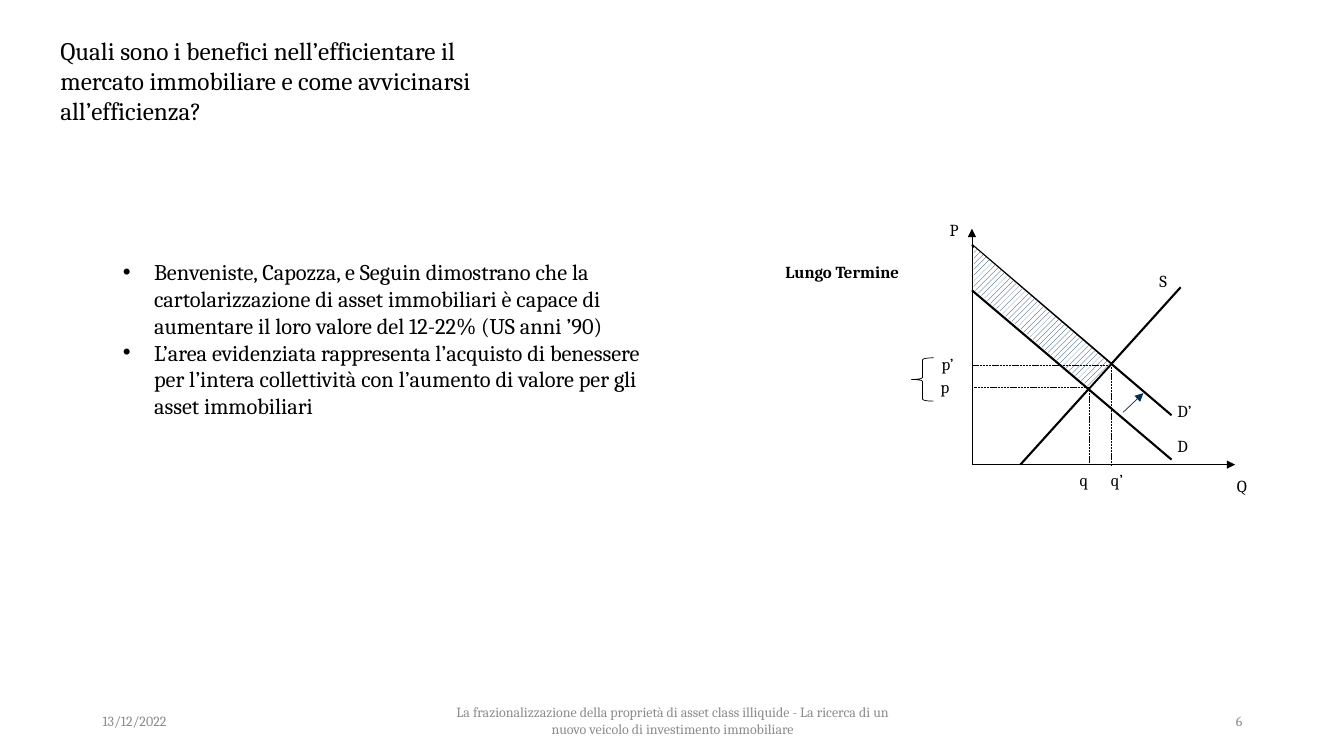
from pptx import Presentation
from pptx.dml.color import RGBColor
from pptx.enum.dml import MSO_LINE as Dash, MSO_PATTERN as Pat
from pptx.enum.shapes import MSO_CONNECTOR as Conn, MSO_SHAPE as Shape
from pptx.enum.text import MSO_ANCHOR as Anchor, PP_ALIGN as Align
from pptx.oxml.ns import qn
from pptx.util import Pt
from lxml.etree import SubElement as Sub

PX = 9144  # 100 px to the inch
FONT = "Cambria"
BLACK, GREY, NAVY, WHITE = "000000", "8C8C8C", "002F56", "FFFFFF"

# Content: boxes are left, top, width, height
TITLE = ("Quali sono i benefici nell’efficientare il mercato immobiliare "
         "e come avvicinarsi all’efficienza?")
POINTS = [
    "Benveniste, Capozza, e Seguin dimostrano che la cartolarizzazione di asset "
    "immobiliari è capace di aumentare il loro valore del 12-22% (US anni ’90)",
    "L’area evidenziata rappresenta l’acquisto di benessere per l’intera "
    "collettività con l’aumento di valore per gli asset immobiliari",
]
FOOTER = [
    ("13/12/2022", 92, 300, Align.LEFT),
    ("La frazionalizzazione della proprietà di asset class illiquide - "
     "La ricerca di un nuovo veicolo di investimento immobiliare",
     442, 450, Align.CENTER),
    ("6", 942, 300, Align.RIGHT),
]
LABELS = [  # text, left, top, width, bold
    ("P", 932, 212, 23, False),
    ("Q", 1217, 466, 25, False),
    ("S", 1140, 262, 23, False),
    ("D", 1158, 426, 23, False),
    ("D’", 1158, 391, 45, False),
    ("q’", 1092, 460, 41, False),
    ("q", 1061, 460, 41, False),
    ("p’", 924, 345, 41, False),
    ("p", 923, 367, 41, False),
    ("Lungo Termine", 769, 253, 330, True),
]
AXES = [(964, 461, 964, 227), (964, 461, 1225, 461)]
CURVES = [(1012, 461, 1171, 285), (1162, 412, 964, 243), (1162, 456, 964, 288)]
GUIDES = [(1080, 384, 1080, 461), (1102, 364, 1102, 462),
          (1080, 384, 966, 384), (1099, 362, 965, 362)]
SHIFT = (1114, 409, 1134, 390)
GAIN = [(966, 245), (966, 287), (1080, 384), (1101, 361)]
BRACE = (904, 355, 22, 43)

prs = Presentation()
prs.slide_width, prs.slide_height = 1333 * PX, 750 * PX
slide = prs.slides.add_slide(prs.slide_layouts[6])
shapes = slide.shapes


def rgb(code):
    return RGBColor.from_string(code)


def emu(nums):
    return [n * PX for n in nums]


def text(box, lines, size, color=BLACK, align=Align.LEFT, anchor=Anchor.TOP,
         bold=False, bullet=False):
    frame = shapes.add_textbox(*emu(box)).text_frame
    frame.word_wrap = True
    frame.vertical_anchor = anchor
    frame.text = "\n".join(lines)
    for para in frame.paragraphs:
        if bullet:
            props = para._p.get_or_add_pPr()
            props.set("marL", str(31 * PX))
            props.set("indent", str(-31 * PX))
            Sub(props, qn("a:buFont"), typeface="Arial")
            Sub(props, qn("a:buChar"), char="•")
        para.alignment = align
        font = para.font
        font.name, font.size, font.bold = FONT, Pt(size), bold
        font.color.rgb = rgb(color)
    return frame


def line(ends, width=0.5, color=BLACK, dash=None, arrow=False):
    conn = shapes.add_connector(Conn.STRAIGHT, *emu(ends))
    conn.line.width = Pt(width)
    conn.line.color.rgb = rgb(color)
    if dash:
        conn.line.dash_style = dash
    if arrow:
        Sub(conn.line._get_or_add_ln(), qn("a:tailEnd"), type="triangle")
    Sub(conn._element.spPr, qn("a:effectLst"))


# Title, bullets and footer
text((50, 30, 460, 108), [TITLE], 18)
text((112, 59, 550, 554), POINTS, 16, anchor=Anchor.MIDDLE, bullet=True)
for words, left, width, align in FOOTER:
    text((left, 695, width, 40), [words], 10, GREY, align, Anchor.MIDDLE)

# Axes and curves
for ends in AXES:
    line(ends, arrow=True)
for ends in CURVES:
    line(ends, 1.5)

# Hatched gain between the two demand curves
path = shapes.build_freeform(*GAIN[0], scale=PX)
path.add_line_segments(GAIN[1:], close=True)
gain = path.convert_to_shape()
gain.shadow.inherit = False
gain.fill.patterned()
gain.fill.pattern = Pat.WIDE_UPWARD_DIAGONAL
gain.fill.fore_color.rgb = rgb(NAVY)
gain.fill.back_color.rgb = rgb(WHITE)
gain.line.fill.background()

# Shift arrow, guides and price brace
line(SHIFT, color=NAVY, arrow=True)
for ends in GUIDES:
    line(ends, dash=Dash.SQUARE_DOT)
brace = shapes.add_shape(Shape.LEFT_BRACE, *emu(BRACE))
brace.shadow.inherit = False
brace.fill.background()
brace.line.width = Pt(0.5)
brace.line.color.rgb = rgb(BLACK)

# Labels
for words, left, top, width, bold in LABELS:
    para = text((left, top, width, 31), [words], 12, bold=bold).paragraphs[0]
    para.line_spacing = 1.07
    para.space_after = Pt(8)

prs.save("out.pptx")
